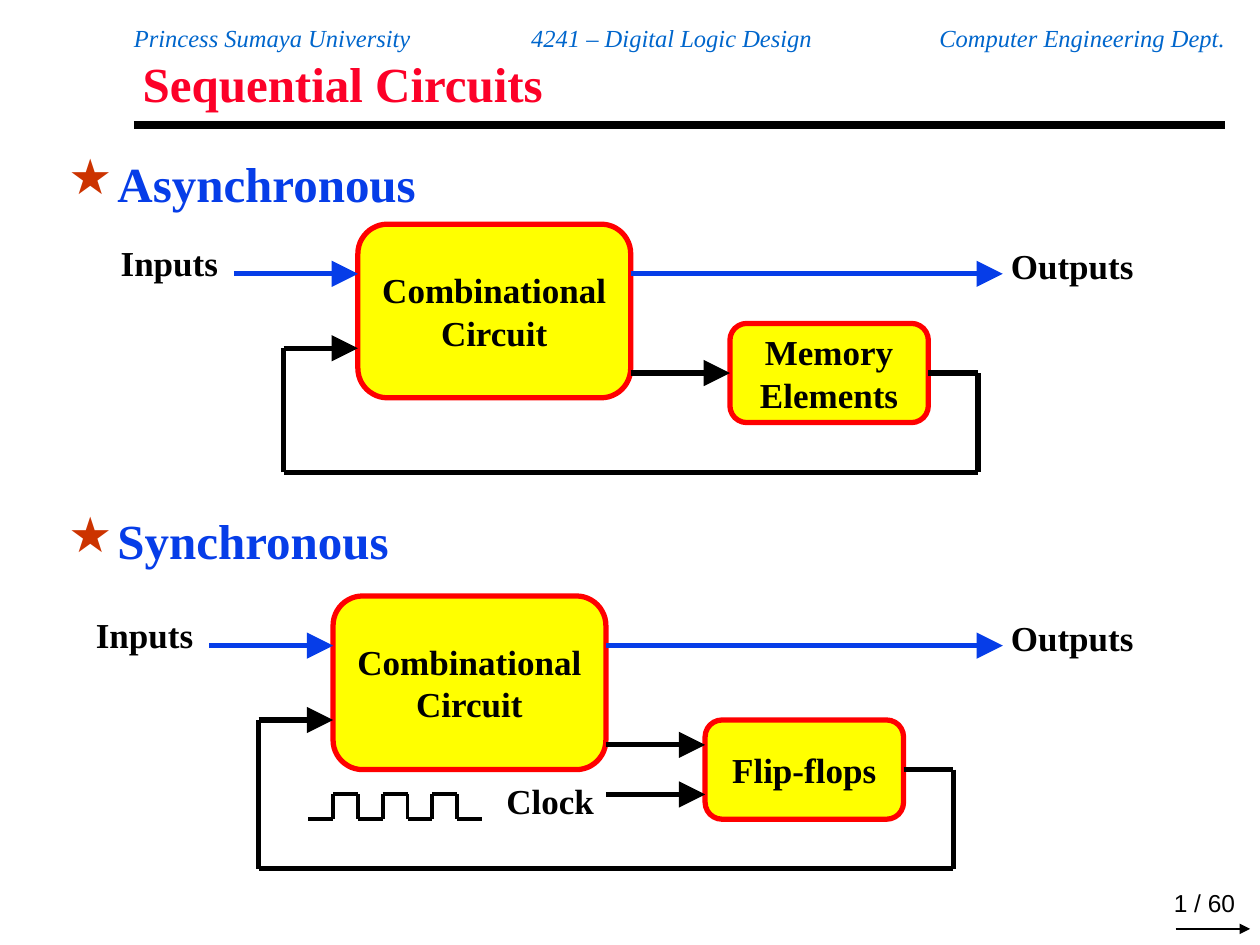
from itertools import pairwise

from lxml.etree import SubElement
from pptx import Presentation
from pptx.dml.color import RGBColor
from pptx.enum.shapes import MSO_CONNECTOR as Connector, MSO_SHAPE as Shape
from pptx.enum.text import MSO_ANCHOR as Anchor, PP_ALIGN as Align
from pptx.oxml.ns import qn
from pptx.util import Cm, Inches, Pt

COLORS = {
    "ink": "000000", "header": "0066CC", "title": "FC0128", "signal": "063DE8",
    "star": "CC3300", "block": "FFFF00", "edge": "FF0000",
}
CELL = Cm(0.5)
SERIF = "Times New Roman"
TIGHT = (0, 0)
SNUG = (0.07, 0.03)


def cells(*counts):
    """Convert counts of grid cells to lengths."""
    return [round(count * CELL) for count in counts]


def color(name):
    """Look up a named colour."""
    return RGBColor.from_string(COLORS[name])


def write(frame, lines, size, ink="ink", bold=True, italic=False, font=SERIF,
          align=Align.LEFT, spacing=None, margins=TIGHT, wrap=True):
    """Fill a text frame and format its runs."""
    frame.word_wrap = wrap
    frame.margin_left = frame.margin_right = Inches(margins[0])
    frame.margin_top = frame.margin_bottom = Inches(margins[1])
    frame.text = lines
    for para in frame.paragraphs:
        para.alignment = align
        if spacing:
            para.line_spacing = spacing
        for span in para.runs:
            span.font.name, span.font.size = font, Pt(size)
            span.font.bold, span.font.italic = bold, italic
            span.font.color.rgb = color(ink)


def add_text(page, box, lines, size, **style):
    """Add a text box on the grid and return its frame."""
    frame = page.shapes.add_textbox(*cells(*box)).text_frame
    write(frame, lines, size, **style)
    return frame


def add_label(page, center, top, word):
    """Add a one-line label centred on a column."""
    add_text(page, (center - 2.5, top, 5, 1.5), word, 20, align=Align.CENTER,
             spacing=0.9, wrap=False)


def add_wire(page, points, ink="ink", width=3, arrow=None):
    """Join grid points with straight lines, with an arrowhead on the last."""
    for start, end in pairwise(points):
        wire = page.shapes.add_connector(
            Connector.STRAIGHT, *cells(*start, *end))
        wire.line.color.rgb = color(ink)
        wire.line.width = Pt(width)
        SubElement(wire._element.spPr, qn("a:effectLst"))
    if arrow:
        SubElement(wire.line._get_or_add_ln(), qn("a:tailEnd"),
                   type="triangle", w=arrow, len=arrow)


def add_block(page, box, lines):
    """Add a rounded circuit block with centred text."""
    block = page.shapes.add_shape(Shape.ROUNDED_RECTANGLE, *cells(*box))
    block.shadow.inherit = False
    block.adjustments[0] = 0.17
    block.fill.solid()
    block.fill.fore_color.rgb = color("block")
    block.line.color.rgb = color("edge")
    block.line.width = Pt(3)
    block.text_frame.vertical_anchor = Anchor.MIDDLE
    write(block.text_frame, lines, 20, align=Align.CENTER, wrap=False)


def add_header(page, left, width):
    """Place the course line, the title and the rule below them."""
    course = add_text(
        page, (left, 1.05, width, 1.05),
        "Princess Sumaya University\t4241 – Digital Logic Design\t"
        "Computer Engineering Dept.",
        14, ink="header", bold=False, italic=True, spacing=0.9)
    tabs = SubElement(course.paragraphs[0]._p.get_or_add_pPr(), qn("a:tabLst"))
    for stop, side in ((0.364 * width, "l"), (width, "r")):
        SubElement(tabs, qn("a:tab"), pos=str(cells(stop)[0]), algn=side)
    add_text(page, (left, 2.35, width, 2.35), "Sequential Circuits", 28,
             ink="title", spacing=0.87, margins=SNUG)
    add_wire(page, [(left, 5.03), (left + width, 5.03)], width=4.5)


def add_heading(page, top, words):
    """Place a section heading with a star bullet."""
    frame = add_text(page, (2.4, top, 46, 2.5), words, 28, ink="signal",
                     margins=SNUG)
    props = frame.paragraphs[0]._p.get_or_add_pPr()
    indent = Inches(0.39)
    props.set("marL", str(indent))
    props.set("indent", str(-indent))
    tint = SubElement(props, qn("a:buClr"))
    SubElement(tint, qn("a:srgbClr"), val=COLORS["star"])
    SubElement(props, qn("a:buChar"), char="★")


def add_circuit(page, left, top, storage, storage_row, loop_row, output_column):
    """Place a combinational block, its storage block and the feedback loop."""
    def at(*points):
        return [(left + column, top + row) for column, row in points]

    add_block(page, (left, top, 11, 7), "Combinational\nCircuit")
    add_block(page, (left + 15, top + storage_row, 8, 4), storage)
    middle = storage_row + 2
    add_wire(page, at((11, 6), (15, 6)), arrow="lg")
    add_wire(page, at((23, middle), (25, middle), (25, loop_row),
                      (-3, loop_row), (-3, 5), (0, 5)), arrow="lg")
    for start, end in ((-5, 0), (11, output_column)):
        add_wire(page, at((start, 2), (end, 2)), ink="signal", arrow="lg")
    add_label(page, left - 7.6, top + 0.9, "Inputs")
    add_label(page, left + output_column + 2.8, top + 1, "Outputs")


def add_clock(page, left, top):
    """Place the clock wave, its label and the arrow into the storage block."""
    wave = [(left, top + 1)]
    for step in range(1, 7):
        rows = (top + 1, top) if step % 2 else (top, top + 1)
        wave += [(left + step, row) for row in rows]
    wave.append((left + 7, top + 1))
    add_wire(page, wave, width=2.25)
    add_label(page, left + 9.75, top - 0.4, "Clock")
    add_wire(page, [(left + 12, top), (left + 16, top)], arrow="lg")


def add_footer(page, left, top):
    """Place the page number and the small arrow under it."""
    frame = add_text(page, (left, top, 6.65, 1.63), "1 / 60", 14, bold=False,
                     font="Arial", align=Align.RIGHT, margins=(0.1, 0.05))
    frame.vertical_anchor = Anchor.BOTTOM
    row = top + 1.85
    add_wire(page, [(left + 3.75, row), (left + 6.75, row)], width=0.75,
             arrow="med")


def main():
    """Build the slide and save it."""
    deck = Presentation()
    deck.slide_width, deck.slide_height = Inches(10), Inches(7.5)
    page = deck.slides.add_slide(deck.slide_layouts[6])
    add_header(page, 5.4, 44)
    add_heading(page, 6.05, "Asynchronous")
    add_circuit(page, 14.43, 9.04, "Memory\nElements", 4, 10, 26)
    add_heading(page, 20.45, "Synchronous")
    add_circuit(page, 13.43, 24.03, "Flip-flops", 5, 11, 27)
    add_clock(page, 12.43, 32.03)
    add_footer(page, 43.65, 35.6)
    deck.save("out.pptx")


if __name__ == "__main__":
    main()
